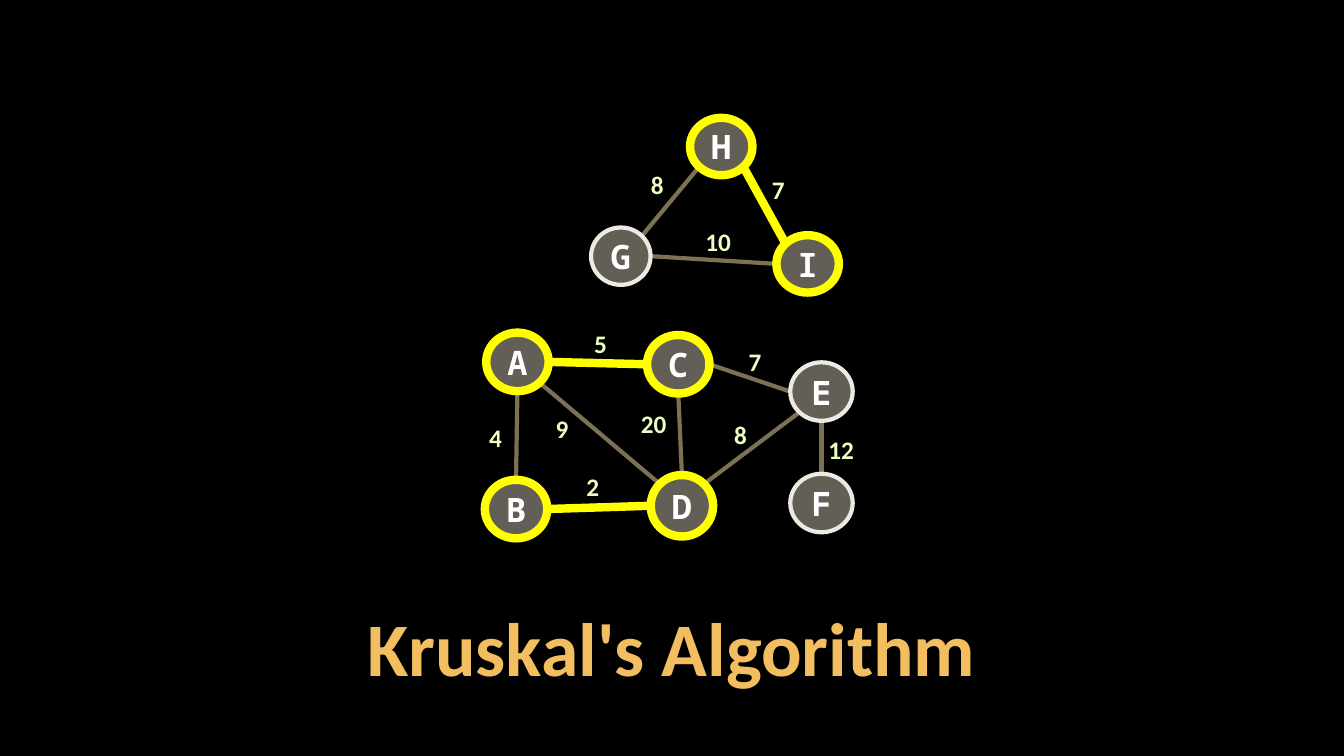
from dataclasses import dataclass
from math import cos, radians, sin

from lxml import etree
from pptx import Presentation
from pptx import util as u
from pptx.dml.color import RGBColor
from pptx.enum import shapes, text
from pptx.oxml.ns import qn


@dataclass(frozen=True)
class Theme:
    background: str = "000000"
    title: str = "F3BE60"
    weight: str = "EBFFC2"
    edge: str = "7C7154"
    chosen: str = "FFFF00"
    ring: str = "ECEAE3"
    node: str = "C7BFAC"
    letter: str = "FFFFFF"
    node_opacity: int = 50
    text_font: str = "Calibri"
    node_font: str = "Noto Sans Mono"
    title_size: int = 54
    weight_size: int = 18
    letter_size: int = 24
    thin: int = 3
    thick: int = 6


ANGLES = {"right": 0, "bottom right": 45, "bottom": 90, "bottom left": 135,
          "left": 180, "top left": 225, "top": 270, "top right": 315}

NODES = {
    "A": (347.3, 237.6, 44.6, 41.8, True),
    "B": (346.3, 342.7, 44.6, 41.8, True),
    "C": (462.2, 239.3, 44.6, 41.8, True),
    "D": (464.8, 339.3, 44.6, 43.9, True),
    "E": (564.5, 258.8, 44.6, 41.8, False),
    "F": (564.5, 338.4, 44.6, 41.8, False),
    "G": (422.2, 162.5, 42.5, 41, False),
    "H": (492.9, 84.2, 44.6, 41, True),
    "I": (554.6, 168, 44.6, 41, True),
}

EDGES = [
    ("D", "top right", "E", "bottom left", "8", (517.3, 295.9), False),
    ("D", "top", "C", "bottom", "20", (450.7, 288.4), False),
    ("F", "top", "E", "bottom", "12", (584.6, 306.7), False),
    ("D", "left", "B", "right", "2", (411.8, 333.4), True),
    ("D", "top left", "A", "bottom right", "9", (389.8, 291.6), False),
    ("C", "right", "E", "left", "7", (527.6, 244.1), False),
    ("B", "top", "A", "bottom", "4", (342.3, 297.8), False),
    ("A", "right", "C", "left", "5", (417.4, 231.1), True),
    ("G", "right", "I", "left", "10", (496.8, 158), False),
    ("G", "top right", "H", "bottom left", "8", (457.9, 117.4), False),
    ("I", "top left", "H", "bottom right", "7", (544.3, 121), True),
]


def write(box, content, *, font, size, color, align=text.PP_ALIGN.LEFT,
          anchor=text.MSO_ANCHOR.TOP, wrap=False, spacing=1.0):
    frame = box.text_frame
    frame.word_wrap = wrap
    frame.vertical_anchor = anchor
    para = frame.paragraphs[0]
    para.alignment = align
    para.line_spacing = spacing
    span = para.add_run()
    span.text = content
    span.font.name = font
    span.font.size = u.Pt(size)
    span.font.bold = True
    span.font.color.rgb = RGBColor.from_string(color)


def rim_point(name, side):
    left, top, width, height, _ = NODES[name]
    angle = radians(ANGLES[side])
    return (left + width / 2 * (1 + cos(angle)),
            top + height / 2 * (1 + sin(angle)))


class GraphPage:
    def __init__(self, page, theme):
        self.page = page
        self.theme = theme
        fill = page.background.fill
        fill.solid()
        fill.fore_color.rgb = RGBColor.from_string(theme.background)

    def stroke(self, line, color, chosen):
        line.color.rgb = RGBColor.from_string(self.theme.chosen if chosen else color)
        line.width = u.Pt(self.theme.thick if chosen else self.theme.thin)

    def title(self, content):
        box = self.page.shapes.add_textbox(u.Pt(72), u.Pt(433), u.Pt(816), u.Pt(64.8))
        frame = box.text_frame
        frame.margin_left = frame.margin_right = u.Pt(2.9)
        frame.margin_top = frame.margin_bottom = u.Pt(2.9)
        write(box, content, font=self.theme.text_font, size=self.theme.title_size,
              color=self.theme.title, align=text.PP_ALIGN.CENTER,
              anchor=text.MSO_ANCHOR.BOTTOM, wrap=True, spacing=0.9)

    def edge(self, start, end, chosen):
        line = self.page.shapes.add_connector(
            shapes.MSO_CONNECTOR.STRAIGHT, *map(u.Pt, start + end))
        self.stroke(line.line, self.theme.edge, chosen)
        etree.SubElement(line.element.spPr, qn("a:effectLst"))

    def weight(self, content, left, top):
        width = 14.4 + 9.3 * len(content)
        box = self.page.shapes.add_textbox(u.Pt(left), u.Pt(top), u.Pt(width), u.Pt(28.8))
        write(box, content, font=self.theme.text_font, size=self.theme.weight_size,
              color=self.theme.weight)

    def node(self, letter, left, top, width, height, chosen):
        box = self.page.shapes.add_shape(
            shapes.MSO_SHAPE.OVAL, u.Pt(left), u.Pt(top), u.Pt(width), u.Pt(height))
        box.shadow.inherit = False
        box.fill.solid()
        box.fill.fore_color.rgb = RGBColor.from_string(self.theme.node)
        color = box.element.spPr.find(qn("a:solidFill")).find(qn("a:srgbClr"))
        alpha = etree.SubElement(color, qn("a:alpha"))
        alpha.set("val", str(self.theme.node_opacity * 1000))
        self.stroke(box.line, self.theme.ring, chosen)
        write(box, letter, font=self.theme.node_font, size=self.theme.letter_size,
              color=self.theme.letter, align=text.PP_ALIGN.CENTER,
              anchor=text.MSO_ANCHOR.MIDDLE)


def main():
    deck = Presentation()
    deck.slide_width, deck.slide_height = u.Pt(960), u.Pt(540)
    graph = GraphPage(deck.slides.add_slide(deck.slide_layouts[6]), Theme())
    graph.title("Kruskal's Algorithm")
    for start, start_side, end, end_side, _, _, chosen in EDGES:
        graph.edge(rim_point(start, start_side), rim_point(end, end_side), chosen)
    for letter, place in NODES.items():
        graph.node(letter, *place)
    for _, _, _, _, weight, place, _ in EDGES:
        graph.weight(weight, *place)
    deck.save("out.pptx")


if __name__ == "__main__":
    main()
